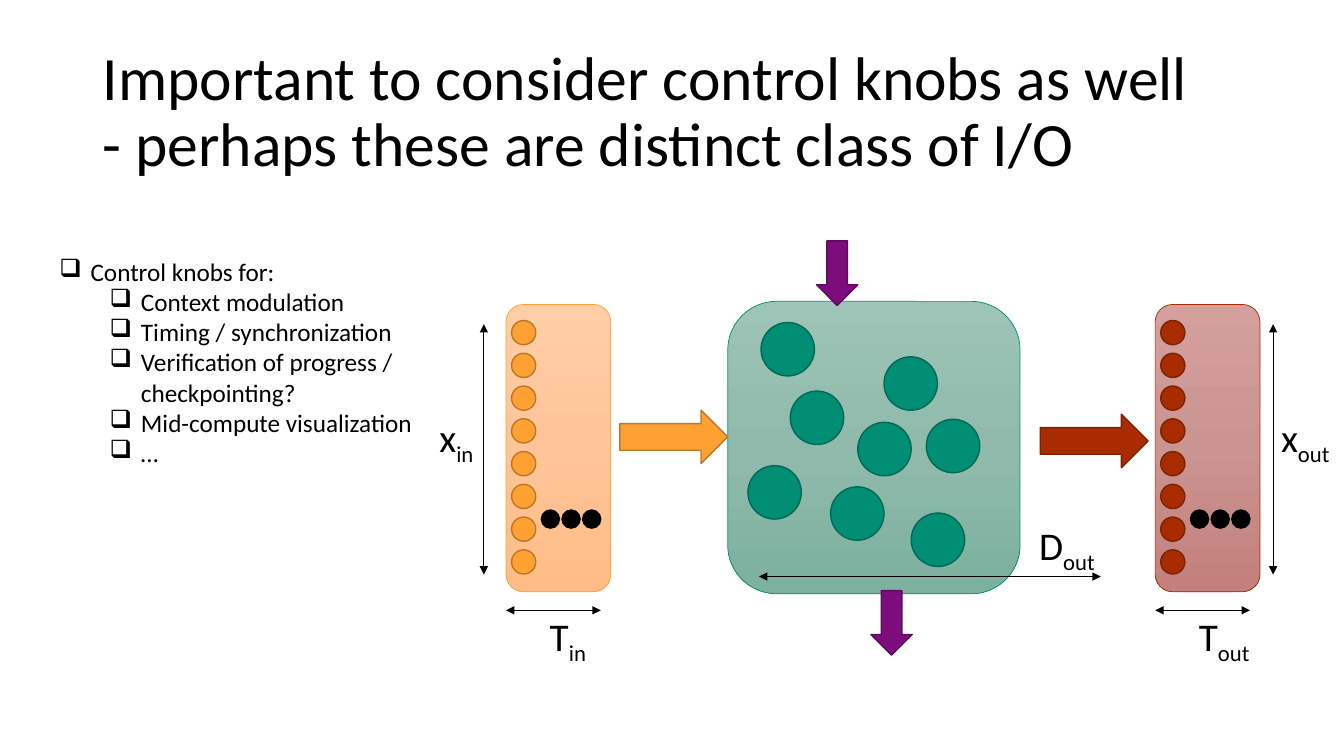
import copy

import lxml.etree
import pptx
import pptx.dml.color
import pptx.enum.shapes
import pptx.enum.text
import pptx.oxml.ns
import pptx.util

SHAPE = pptx.enum.shapes.MSO_SHAPE
FONT = "Calibri"
CELL = pptx.util.Inches(0.1)  # side of one square grid cell
COLUMNS, ROWS = 133.33, 75

COLOURS = {
    "black": "000000",
    "input": "FFA033", "input_edge": "BD7626",
    "output": "A92C00", "output_edge": "7D2100",
    "core": "008E74", "core_edge": "006956",
    "knob": "7D0D7C", "knob_edge": "5C0A5C",
}
GRADIENTS = {
    "input": ("FFCEA7", "FFC498", "FFBC86"),
    "output": ("D4A09D", "CA9490", "C3807C"),
    "core": ("9DC4B7", "90BAAC", "7CB09F"),
}
KNOBS = ["Context modulation", "Timing / synchronization",
         "Verification of progress / checkpointing?",
         "Mid-compute visualization", "…"]


def cells(*lengths):
    return [round(length * CELL) for length in lengths]


def rgb(hex_string):
    return pptx.dml.color.RGBColor.from_string(hex_string)


def add_element(parent, tag, **attributes):
    return lxml.etree.SubElement(parent, pptx.oxml.ns.qn(tag), attributes)


def format_font(font, size):
    for name, value in {"name": FONT, "size": pptx.util.Pt(size)}.items():
        setattr(font, name, value)
    font.color.rgb = rgb(COLOURS["black"])


def add_solid(slide, kind, box, fill, edge):
    shape = slide.shapes.add_shape(kind, *cells(*box))
    shape.shadow.inherit = False
    shape.fill.solid()
    shape.fill.fore_color.rgb = rgb(COLOURS[fill])
    shape.line.color.rgb = rgb(COLOURS[edge])
    shape.line.width = pptx.util.Pt(1)
    return shape


def add_panel(slide, box, key):
    """Rounded box with a three-stop gradient running from top to bottom."""
    panel = add_solid(slide, SHAPE.ROUNDED_RECTANGLE, box, key, key)
    panel.line.width = pptx.util.Pt(0.5)
    panel.fill.gradient()
    panel.fill.gradient_angle = 270
    stops = panel._element.spPr.find(".//" + pptx.oxml.ns.qn("a:gsLst"))
    stops.insert(1, copy.deepcopy(stops[0]))
    for index, stop in enumerate(panel.fill.gradient_stops):
        stop.position = index / 2
        stop.color.rgb = rgb(GRADIENTS[key][index])


def add_span(slide, *ends):
    """Thin line with an arrowhead at each end."""
    connector = slide.shapes.add_connector(
        pptx.enum.shapes.MSO_CONNECTOR.STRAIGHT, *cells(*ends))
    connector.line.color.rgb = rgb(COLOURS["black"])
    connector.line.width = pptx.util.Pt(0.5)
    line = connector.line._get_or_add_ln()
    for tag in ("a:headEnd", "a:tailEnd"):
        add_element(line, tag, type="triangle")
    add_element(connector._element.spPr, "a:effectLst")


def add_label(slide, box, letter, subscript):
    frame = slide.shapes.add_textbox(*cells(*box)).text_frame
    frame.word_wrap = False
    frame.auto_size = pptx.enum.text.MSO_AUTO_SIZE.SHAPE_TO_FIT_TEXT
    for text in (letter, subscript):
        run = frame.paragraphs[0].add_run()
        run.text = text
        format_font(run.font, 28)
    run.font._element.set("baseline", "-25000")


def add_title(slide, box):
    title = slide.shapes.title
    for name, value in zip(("left", "top", "width", "height"), cells(*box)):
        setattr(title, name, value)
    frame = title.text_frame
    frame.text = ("Important to consider control knobs as well\v"
                  "- perhaps these are distinct class of I/O")
    frame.word_wrap = True
    frame.vertical_anchor = pptx.enum.text.MSO_ANCHOR.MIDDLE
    paragraph = frame.paragraphs[0]
    paragraph.alignment = pptx.enum.text.PP_ALIGN.LEFT
    paragraph.line_spacing = 0.9
    for run in paragraph.runs:
        format_font(run.font, 44)


def add_knob_list(slide, box):
    frame = slide.shapes.add_textbox(*cells(*box)).text_frame
    frame.word_wrap = True
    frame.auto_size = pptx.enum.text.MSO_AUTO_SIZE.SHAPE_TO_FIT_TEXT
    for index, text in enumerate(["Control knobs for:"] + KNOBS):
        paragraph = frame.add_paragraph() if index else frame.paragraphs[0]
        paragraph.level = min(index, 1)
        run = paragraph.add_run()
        run.text = text
        format_font(run.font, 18)
        margin, hanging = cells(3.1 + 5 * paragraph.level, -3.1)
        properties = paragraph._p.get_or_add_pPr()
        properties.set("marL", str(margin))
        properties.set("indent", str(hanging))
        add_element(properties, "a:buChar", char="❑")


def add_bank(slide, box, key, subscript, span_shift, label_shift, label_width):
    """Column of units with its size labels; shifts are from the box's left."""
    left, top, width, height = box
    edge = key + "_edge"
    add_panel(slide, box, key)
    for index in range(8):
        unit = (left + 0.55, top + 1.6 + 3.25 * index, 2.4, 2.4)
        add_solid(slide, SHAPE.OVAL, unit, key, edge)
    for index in range(3):
        dot = (left + 3.5 + 2.05 * index, top + 20.4, 1.8, 1.8)
        add_solid(slide, SHAPE.OVAL, dot, "black", "black")
    span = left + span_shift
    add_span(slide, span, top + 1.95, span, top + 26.8)
    add_span(slide, left, top + 30.35, left + 9.4, top + 30.35)
    add_label(slide, (left + label_shift, top + 10.35, label_width, 5.7),
              "x", subscript)
    add_label(slide, (left + 3.35, top + 30.05, label_width, 5.7),
              "T", subscript)


def add_core(slide, box):
    left, top, width, height = box
    add_panel(slide, box, "core")
    for x, y in [(3.3, 2.1), (15.5, 5.5), (6.2, 8.9), (12.9, 12),
                 (19.7, 11.7), (10.2, 18.4), (2, 16.3), (18.2, 21)]:
        node = (left + x, top + y, 5.3, 5.3)
        add_solid(slide, SHAPE.OVAL, node, "core", "core_edge")
    add_span(slide, left + 3.1, top + 27.3, left + 37, top + 27.3)
    add_label(slide, (left + 29.9, top + 21.3, 8.1, 5.7), "D", "out")
    for x, y, key in [(-10.7, 10.8, "input"), (31, 11.2, "output")]:
        add_solid(slide, SHAPE.RIGHT_ARROW, (left + x, top + y, 10.7, 5.3),
                  key, key + "_edge")
    for x, y in [(8.8, -6), (14.2, 28.7)]:
        add_solid(slide, SHAPE.DOWN_ARROW, (left + x, top + y, 4.1, 6.4),
                  "knob", "knob_edge")


def main():
    presentation = pptx.Presentation()
    presentation.slide_width, presentation.slide_height = cells(COLUMNS, ROWS)
    slide = presentation.slides.add_slide(presentation.slide_layouts[5])
    add_title(slide, (9.2, 4, 115, 14.5))
    add_core(slide, (72.2, 29.9, 29, 29))
    add_bank(slide, (50.2, 30.2, 10.4, 28.5), "input", "in", -2.2, -7.6, 5.8)
    add_bank(slide, (114.6, 30.2, 10.4, 28.5), "output", "out", 11.7, 11.5, 7.2)
    add_knob_list(slide, (4.9, 24.9, 37.8, 22.2))
    presentation.save("out.pptx")


if __name__ == "__main__":
    main()
